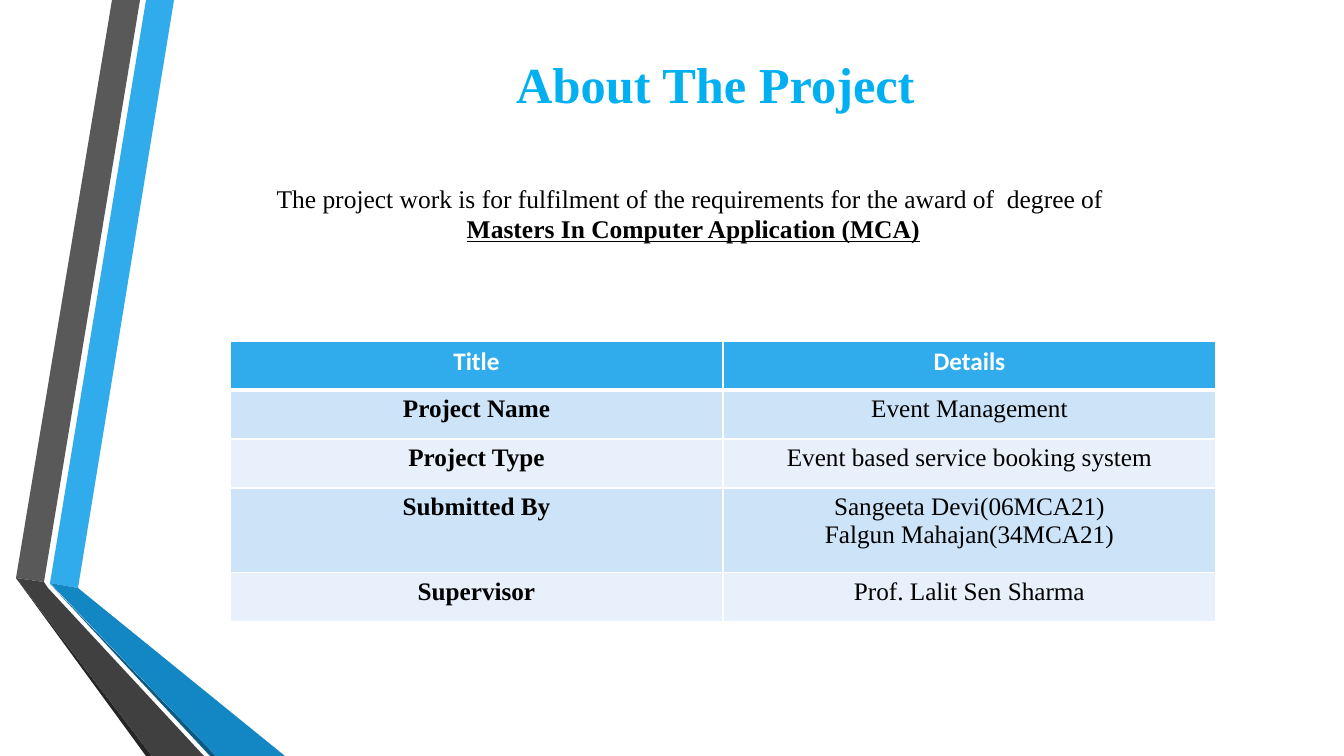
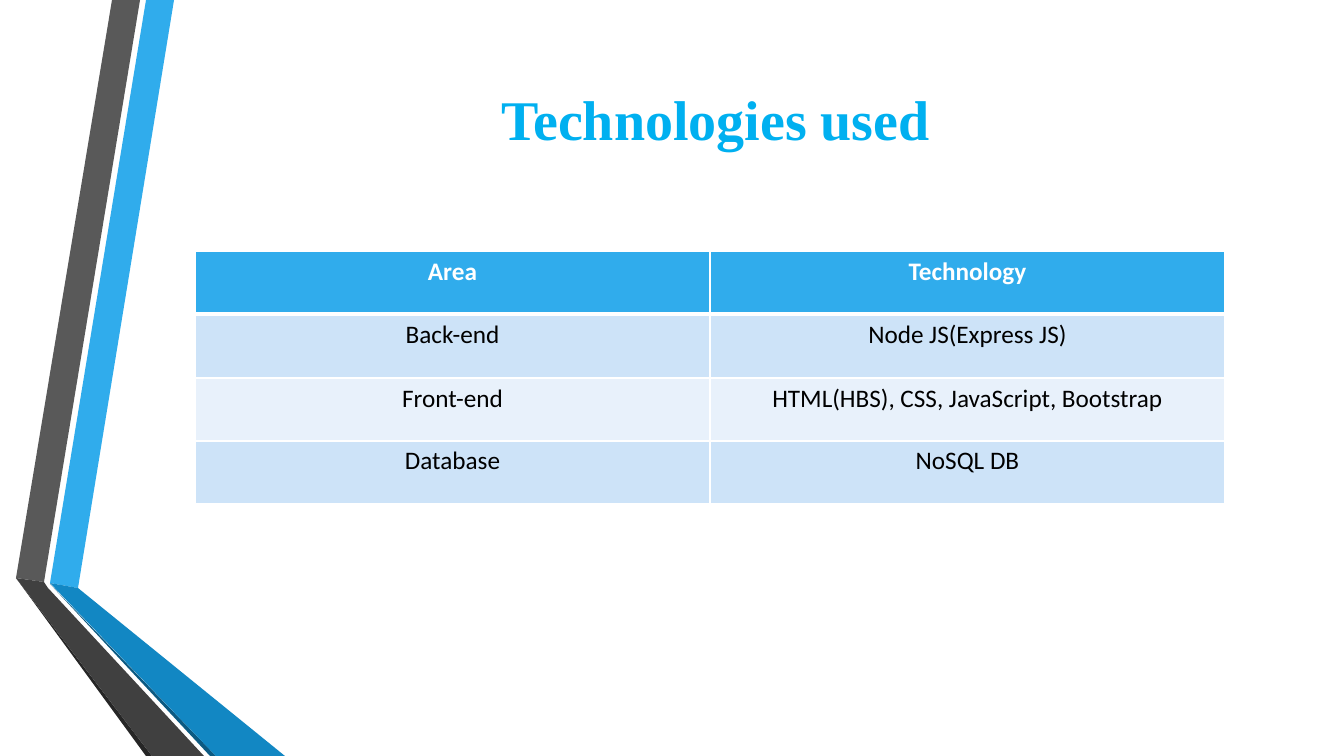
from dataclasses import dataclass

from lxml import etree
from pptx import Presentation
from pptx import util as u
from pptx.dml.color import RGBColor
from pptx.enum import text
from pptx.oxml.ns import qn

WIDE, HIGH = 1344, 756
SCALE = 12192000 / WIDE  # EMU in one px


@dataclass(frozen=True)
class Theme:
    blue: str = "30ACEC"
    deep: str = "1287C3"
    navy: str = "0C5A82"
    grey: str = "595959"
    dark: str = "404040"
    coal: str = "262626"
    title: str = "00B0F0"
    ink: str = "000000"
    white: str = "FFFFFF"
    rows: tuple = ("CDE3F8", "E8F1FB")
    sans: str = "Calibri"
    serif: str = "Times New Roman"
    cell: float = 18
    lead: float = 18.2
    thin: float = 1
    thick: float = 3


T = Theme()

# Ribbon parts, from back to front: colour and corners
RIBBON = (
    (T.blue, [(50, 583), (78, 588), (174, 0), (146, 0)]),
    (T.grey, [(140, 0), (112, 0), (16, 578), (44, 582)]),
    (T.coal, [(16, 578), (146, 756), (152, 756)]),
    (T.navy, [(50, 584), (210, 756), (216, 756)]),
    (T.deep, [(50, 583), (216, 756), (285, 756), (78, 588)]),
    (T.dark, [(204, 756), (48, 588), (44, 582), (16, 578), (152, 756)]),
)


def px(n):
    return u.Emu(round(n * SCALE))


def rgb(color):
    return RGBColor.from_string(color)


# Text
def write(para, words, size, font, color, bold=False, line=False):
    para.alignment = text.PP_ALIGN.CENTER
    run = para.add_run()
    run.text = words
    face = run.font
    face.size, face.name = u.Pt(size), font
    face.bold, face.underline = bold, line
    face.color.rgb = rgb(color)


def head(slide, words, top, high, size):
    title = slide.shapes.title
    title.left, title.top = px(163), px(top)
    title.width, title.height = px(1105), px(high)
    frame = title.text_frame
    frame.auto_size = text.MSO_AUTO_SIZE.NONE
    frame.vertical_anchor = text.MSO_ANCHOR.MIDDLE
    write(frame.paragraphs[0], words, size, T.serif, T.title, bold=True)


def lead(slide, plain, strong):
    box = slide.shapes.add_textbox(px(141), px(163), px(1105), px(101))
    frame = box.text_frame
    frame.word_wrap = True
    frame.vertical_anchor = text.MSO_ANCHOR.MIDDLE
    write(frame.paragraphs[0], plain, T.lead, T.serif, T.ink)
    write(frame.add_paragraph(), strong, T.lead, T.serif, T.ink,
          bold=True, line=True)


# Shared ribbon: drawn on a slide, then moved into its layout
def ribbon(slide):
    tree = slide.slide_layout.shapes.element
    for i, (color, dots) in enumerate(RIBBON):
        pen = slide.shapes.build_freeform(*dots[0], scale=SCALE)
        pen.add_line_segments(dots[1:], close=True)
        shape = pen.convert_to_shape()
        shape.shadow.inherit = False
        shape.fill.solid()
        shape.fill.fore_color.rgb = rgb(color)
        shape.line.fill.background()
        shape.element.find(".//" + qn("p:cNvPr")).set("id", str(100 + i))
        tree.insert(2 + i, shape.element)


# Tables
def edge(cell, side, width):
    props = cell._tc.get_or_add_tcPr()
    line = etree.SubElement(props, qn("a:ln" + side), w=str(u.Pt(width)))
    fill = etree.SubElement(line, qn("a:solidFill"))
    etree.SubElement(fill, qn("a:srgbClr"), val=T.white)


def paint(cell, row):
    top = T.thick if row == 1 else T.thin
    low = T.thick if row == 0 else T.thin
    for side, width in (("L", T.thin), ("R", T.thin), ("T", top), ("B", low)):
        edge(cell, side, width)
    cell.fill.solid()
    color = T.rows[(row - 1) % 2] if row else T.blue
    cell.fill.fore_color.rgb = rgb(color)


def grid(slide, left, top, wide, highs, rows, font, strong=False):
    cols = len(rows[0])
    frame = slide.shapes.add_table(len(rows), cols, px(left), px(top),
                                   px(wide * cols), px(sum(highs)))
    table = frame.table
    for col in table.columns:
        col.width = px(wide)
    for r, (high, row) in enumerate(zip(highs, rows)):
        table.rows[r].height = px(high)
        for c, words in enumerate(row):
            cell = table.cell(r, c)
            paint(cell, r)
            body = cell.text_frame
            for i, part in enumerate(words.split("\n")):
                para = body.add_paragraph() if i else body.paragraphs[0]
                if r == 0:
                    write(para, part, T.cell, T.sans, T.white, bold=True)
                else:
                    write(para, part, T.cell, font, T.ink,
                          bold=strong and c == 0)


# Slides
def about(slide):
    head(slide, "About The Project", 28, 111, 36)
    lead(slide, "The project work is for fulfilment of the requirements "
                "for the award of  degree of ",
         "Masters In Computer Application (MCA)")
    grid(slide, 230, 341, 493, (49, 49, 49, 85, 49), (
        ("Title", "Details"),
        ("Project Name", "Event Management"),
        ("Project Type", "Event based service booking system"),
        ("Submitted By", "Sangeeta Devi(06MCA21)\nFalgun Mahajan(34MCA21)"),
        ("Supervisor", "Prof. Lalit Sen Sharma"),
    ), T.serif, strong=True)


def tools(slide):
    head(slide, "Technologies used", 54, 128, 40)
    grid(slide, 195, 251, 515, (63, 64, 63, 63), (
        ("Area", "Technology"),
        ("Back-end", "Node JS(Express JS)"),
        ("Front-end", "HTML(HBS), CSS, JavaScript, Bootstrap"),
        ("Database", "NoSQL DB"),
    ), T.sans)


def main():
    deck = Presentation()
    deck.slide_width, deck.slide_height = px(WIDE), px(HIGH)
    plan = deck.slide_layouts.get_by_name("Title Only")
    first = deck.slides.add_slide(plan)
    ribbon(first)
    about(first)
    tools(deck.slides.add_slide(plan))
    deck.save("out.pptx")


if __name__ == "__main__":
    main()
